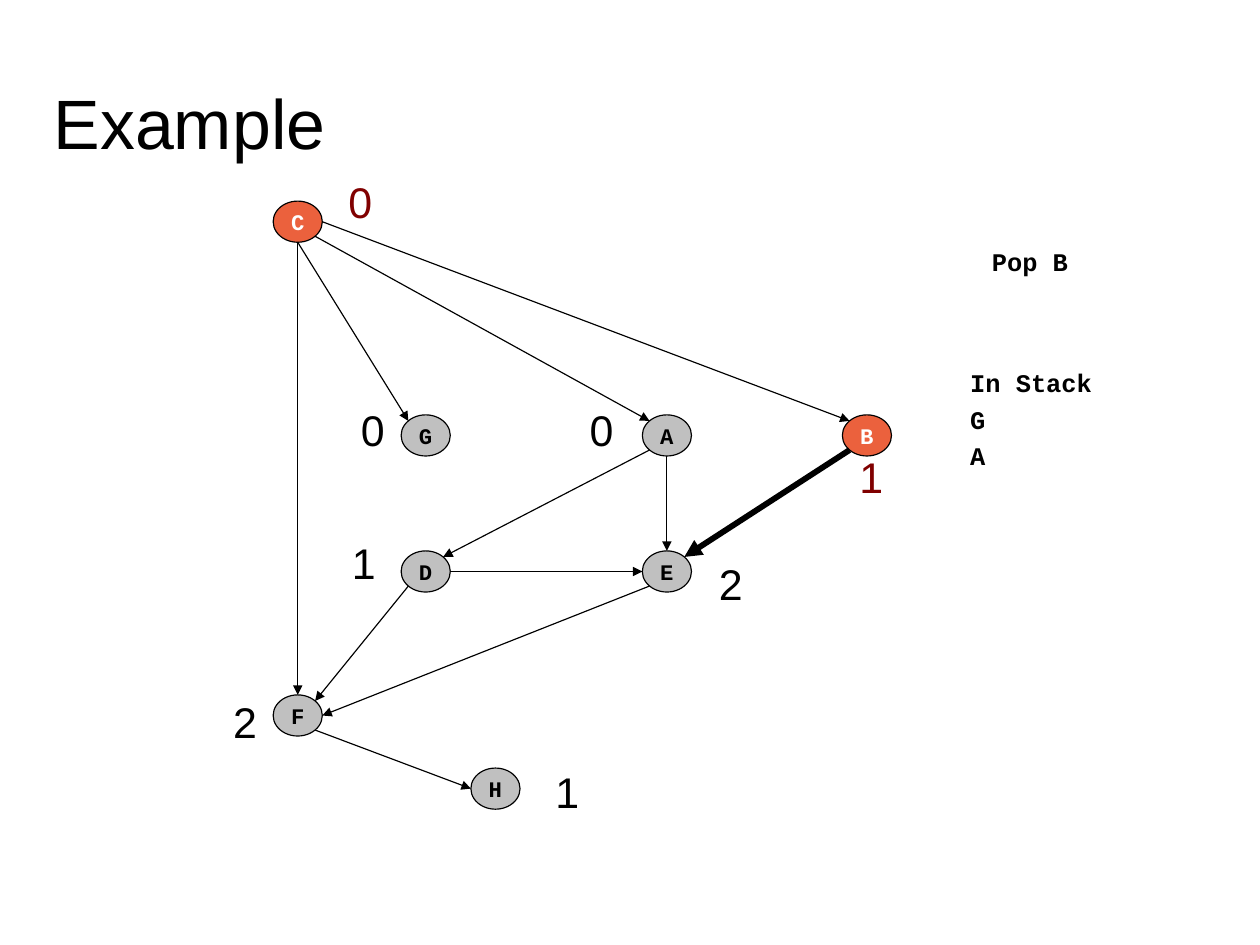
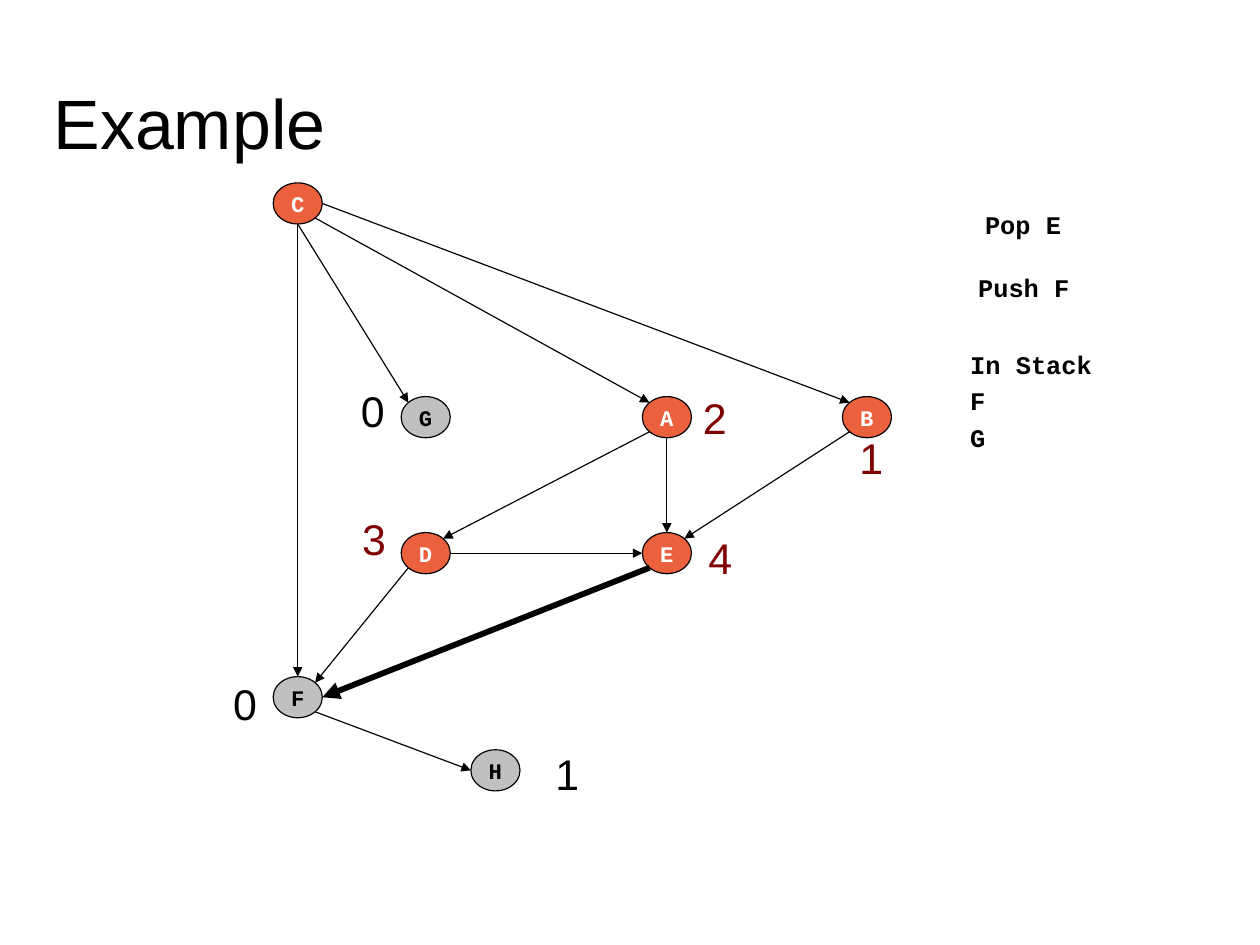
from dataclasses import dataclass
from math import sqrt

from lxml import etree
from pptx import Presentation
from pptx.dml.color import RGBColor
from pptx.enum.shapes import MSO_CONNECTOR, MSO_SHAPE
from pptx.enum.text import MSO_ANCHOR, PP_ALIGN
from pptx.oxml.ns import qn
from pptx.util import Cm, Inches, Pt

STRAIGHT, OVAL = MSO_CONNECTOR.STRAIGHT, MSO_SHAPE.OVAL
TOP, MIDDLE = MSO_ANCHOR.TOP, MSO_ANCHOR.MIDDLE
LEFT, CENTER = PP_ALIGN.LEFT, PP_ALIGN.CENTER

COLOURS = {"ink": "000000", "paper": "FFFFFF", "visited": "EB613D",
           "waiting": "C0C0C0", "number": "800000"}

# Text formats
TITLE = {"name": "Arial", "size": Pt(44)}
COUNT = {"name": "Arial", "size": Pt(27)}
NODE = {"name": "Courier New", "size": Pt(14), "bold": True}
NOTE = {"name": "Courier New", "size": Pt(16), "bold": True}

SLIDE_WIDTH, SLIDE_HEIGHT = Cm(28), Cm(21)

# Grid of the graph, in inches; rows are measured from the top of the graph
NODE_WIDTH, NODE_HEIGHT = 0.43, 0.36
COLUMNS = [2.39, 3.51, 4.12, 5.62, 7.37]
ROWS = [0, 1.87, 3.06, 4.32, 4.96]
NODES = {"C": (0, 0), "G": (1, 1), "A": (3, 1), "B": (4, 1),
         "D": (1, 2), "E": (3, 2), "F": (0, 3), "H": (2, 4)}

# Points on a node's outline, as shares of its half width and half height
DIAGONAL = 1 / sqrt(2)
SITES = {"n": (0, -1), "s": (0, 1), "w": (-1, 0), "e": (1, 0),
         "nw": (-DIAGONAL, -DIAGONAL), "ne": (DIAGONAL, -DIAGONAL),
         "sw": (-DIAGONAL, DIAGONAL), "se": (DIAGONAL, DIAGONAL)}


@dataclass(frozen=True)
class Edge:
    start: str
    start_site: str
    end: str
    end_site: str


@dataclass(frozen=True)
class Count:
    """Number beside a node, placed from the node's top left corner."""
    node: str
    value: int
    across: float
    down: float


@dataclass(frozen=True)
class Note:
    left: float
    top: float
    lines: tuple[str, ...]


@dataclass(frozen=True)
class Step:
    top: float
    visited: str
    active: str
    counts: list[Count]
    notes: list[Note]


EDGES = [
    Edge("C", "s", "F", "n"), Edge("C", "s", "G", "nw"),
    Edge("C", "se", "A", "nw"), Edge("C", "e", "B", "nw"),
    Edge("A", "sw", "D", "ne"), Edge("A", "s", "E", "n"),
    Edge("B", "sw", "E", "ne"), Edge("D", "e", "E", "w"),
    Edge("D", "sw", "F", "ne"), Edge("E", "sw", "F", "e"),
    Edge("F", "se", "H", "w"),
]

STEPS = [
    Step(1.76, "CB", "BE",
         [Count("C", 0, 0.56, -0.27), Count("G", 0, -0.45, -0.15),
          Count("A", 0, -0.56, -0.15), Count("B", 1, 0.05, 0.26),
          Count("D", 1, -0.53, -0.17), Count("E", 2, 0.57, 0.01),
          Count("F", 2, -0.45, -0.04), Count("H", 1, 0.64, -0.07)],
         [Note(8.58, 2.05, ("Pop B",)),
          Note(8.39, 3.11, ("In Stack", "G", "A"))]),
    Step(1.6, "CABDE", "EF",
         [Count("G", 0, -0.45, -0.15), Count("A", 2, 0.43, -0.09),
          Count("B", 1, 0.05, 0.26), Count("D", 3, -0.44, -0.22),
          Count("E", 4, 0.48, -0.06), Count("F", 0, -0.45, -0.04),
          Count("H", 1, 0.64, -0.07)],
         [Note(8.52, 1.73, ("Pop E",)), Note(8.46, 2.28, ("Push F",)),
          Note(8.39, 2.95, ("In Stack", "F", "G"))]),
]


def colour(name: str) -> RGBColor:
    return RGBColor.from_string(COLOURS[name])


def write(shape, lines, style: dict, ink: str = "ink", align=LEFT, anchor=TOP,
          wrap: bool = False, spacing: float = 1.0, inset: bool = True) -> None:
    frame = shape.text_frame
    frame.word_wrap, frame.vertical_anchor = wrap, anchor
    across, down = (0.1, 0.05) if inset else (0, 0)
    frame.margin_left = frame.margin_right = Inches(across)
    frame.margin_top = frame.margin_bottom = Inches(down)
    for index, line in enumerate(lines):
        paragraph = frame.add_paragraph() if index else frame.paragraphs[0]
        paragraph.alignment, paragraph.line_spacing = align, spacing
        run = paragraph.add_run()
        run.text = line
        for name, value in style.items():
            setattr(run.font, name, value)
        run.font.color.rgb = colour(ink)


def add_text(slide, left: float, top: float, width: float, height: float,
             lines, style: dict, **options) -> None:
    box = slide.shapes.add_textbox(*map(Inches, (left, top, width, height)))
    write(box, lines, style, **options)


def corner(name: str, step: Step) -> tuple[float, float]:
    column, row = NODES[name]
    return COLUMNS[column], step.top + ROWS[row]


def site(name: str, side: str, step: Step) -> tuple[float, float]:
    left, top = corner(name, step)
    across, down = SITES[side]
    return (left + NODE_WIDTH / 2 * (1 + across),
            top + NODE_HEIGHT / 2 * (1 + down))


def add_node(slide, name: str, step: Step) -> None:
    visited = name in step.visited
    node = slide.shapes.add_shape(
        OVAL, *map(Inches, (*corner(name, step), NODE_WIDTH, NODE_HEIGHT)))
    node.shadow.inherit = False
    node.fill.solid()
    node.fill.fore_color.rgb = colour("visited" if visited else "waiting")
    node.line.color.rgb = colour("ink")
    node.line.width = Pt(0.75)
    write(node, [name], NODE, ink="paper" if visited else "ink",
          align=CENTER, anchor=MIDDLE)


def add_edge(slide, edge: Edge, step: Step) -> None:
    ends = (*site(edge.start, edge.start_site, step),
            *site(edge.end, edge.end_site, step))
    arrow = slide.shapes.add_connector(STRAIGHT, *map(Inches, ends))
    arrow.line.color.rgb = colour("ink")
    arrow.line.width = Pt(3.69 if edge.start + edge.end == step.active else 0.75)
    properties = arrow._element.spPr
    etree.SubElement(properties.find(qn("a:ln")), qn("a:tailEnd"), type="triangle")
    etree.SubElement(properties, qn("a:effectLst"))


def add_count(slide, count: Count, step: Step) -> None:
    left, top = corner(count.node, step)
    add_text(slide, left + count.across, top + count.down, 0.45, 0.56,
             [str(count.value)], COUNT, wrap=True,
             ink="number" if count.node in step.visited else "ink")


def add_note(slide, note: Note) -> None:
    width = 0.2 + max(map(len, note.lines)) * 16 * 0.6 / 72
    height = 0.1 + 0.32 * len(note.lines)
    add_text(slide, note.left, note.top, width, height, note.lines, NOTE,
             spacing=1.2)


def add_step(presentation, step: Step) -> None:
    slide = presentation.slides.add_slide(presentation.slide_layouts[6])
    slide.background.fill.solid()
    slide.background.fill.fore_color.rgb = colour("paper")
    add_text(slide, 0.47, 0.71, 7.72, 0.71, ["Example"], TITLE,
             anchor=MIDDLE, wrap=True, inset=False)
    # Graph
    for name in NODES:
        add_node(slide, name, step)
    for edge in EDGES:
        add_edge(slide, edge, step)
    for count in step.counts:
        add_count(slide, count, step)
    # Stack operations
    for note in step.notes:
        add_note(slide, note)


def main() -> None:
    presentation = Presentation()
    presentation.slide_width = SLIDE_WIDTH
    presentation.slide_height = SLIDE_HEIGHT
    for step in STEPS:
        add_step(presentation, step)
    presentation.save("out.pptx")


if __name__ == "__main__":
    main()
